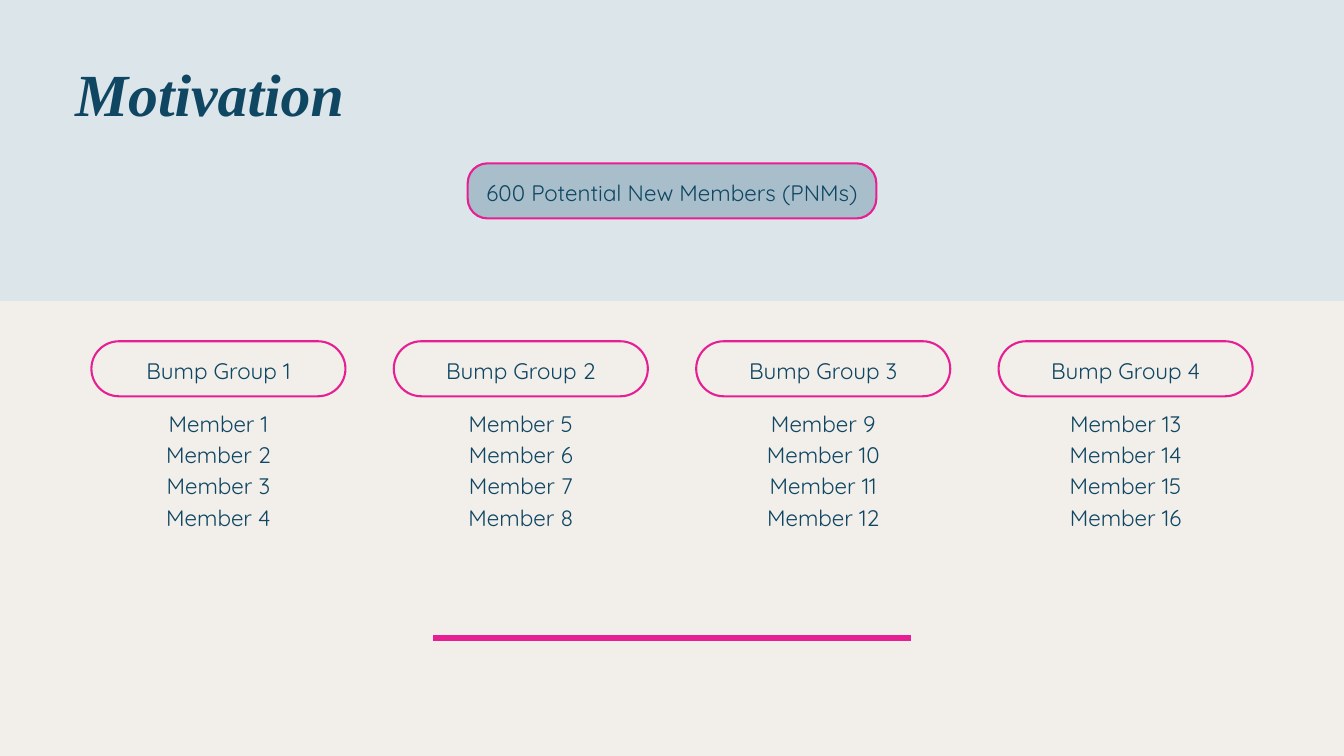
"""Build the Motivation slide: potential new members split into bump groups."""
from pptx import Presentation
from pptx.dml.color import RGBColor
from pptx.enum.shapes import MSO_CONNECTOR, MSO_SHAPE
from pptx.enum.text import MSO_ANCHOR, PP_ALIGN
from pptx.oxml.ns import qn
from pptx.util import Pt

TITLE = "Motivation"
POOL = "600 Potential New Members (PNMs)"
GROUPS = [
    ("Bump Group 1", ["Member 1", "Member 2", "Member 3", "Member 4"]),
    ("Bump Group 2", ["Member 5", "Member 6", "Member 7", "Member 8"]),
    ("Bump Group 3", ["Member 9", "Member 10", "Member 11", "Member 12"]),
    ("Bump Group 4", ["Member 13", "Member 14", "Member 15", "Member 16"]),
]

NAVY = RGBColor(0x0F, 0x46, 0x62)
PINK = RGBColor(0xE6, 0x1F, 0x93)
CREAM = RGBColor(0xF2, 0xEF, 0xEB)
PALE_BLUE = RGBColor(0xDB, 0xE5, 0xEA)
STEEL_BLUE = RGBColor(0xA9, 0xBE, 0xCB)

SLIDE_WIDTH, SLIDE_HEIGHT = 1440, 810
BAND_HEIGHT = 322.5
POOL_WIDTH, POOL_TOP, POOL_RADIUS = 437.8, 175, 21.2
BOX_HEIGHT = 59
GROUP_WIDTH, GROUP_PITCH, GROUP_TOP = 272.2, 324, 365.6
MEMBERS_TOP, MEMBERS_HEIGHT = 434.2, 132
RULE_WIDTH, RULE_TOP = 511.2, 683.4
LABEL_OFFSET = 11.7
CORNER_INSET = 0.29


def write_lines(text_frame, lines, size=24, font_name="Quicksand",
                alignment=PP_ALIGN.CENTER, emphasis=None):
    text_frame.text = "\n".join(lines)
    text_frame.word_wrap = True
    text_frame.vertical_anchor = MSO_ANCHOR.TOP
    text_frame.margin_left = text_frame.margin_right = 0
    text_frame.margin_top = text_frame.margin_bottom = 0
    for paragraph in text_frame.paragraphs:
        paragraph.alignment = alignment
        paragraph.line_spacing = Pt(size * 1.4)
        font = paragraph.runs[0].font
        font.size = Pt(size)
        font.name = font_name
        font.color.rgb = NAVY
        font.bold = font.italic = emphasis


def add_text(slide, left, top, width, height, lines, **style):
    box = slide.shapes.add_textbox(Pt(left), Pt(top), Pt(width), Pt(height))
    write_lines(box.text_frame, lines, **style)


def add_box(slide, left, top, width, radius, fill, label):
    shape = slide.shapes.add_shape(MSO_SHAPE.ROUNDED_RECTANGLE, Pt(left), Pt(top),
                                   Pt(width), Pt(BOX_HEIGHT))
    shape.adjustments[0] = radius / BOX_HEIGHT
    shape.shadow.inherit = False
    shape.fill.solid()
    shape.fill.fore_color.rgb = fill
    shape.line.color.rgb = PINK
    shape.line.width = Pt(2.25)
    write_lines(shape.text_frame, [label])
    shape.text_frame.margin_top = Pt(LABEL_OFFSET - radius * CORNER_INSET)


def add_band(slide):
    band = slide.shapes.add_shape(MSO_SHAPE.RECTANGLE, 0, 0, Pt(SLIDE_WIDTH), Pt(BAND_HEIGHT))
    band.shadow.inherit = False
    band.fill.solid()
    band.fill.fore_color.rgb = PALE_BLUE
    band.line.fill.background()


def add_rule(slide):
    left = (SLIDE_WIDTH - RULE_WIDTH) / 2
    rule = slide.shapes.add_connector(MSO_CONNECTOR.STRAIGHT, Pt(left), Pt(RULE_TOP),
                                      Pt(left + RULE_WIDTH), Pt(RULE_TOP))
    rule.line.color.rgb = PINK
    rule.line.width = Pt(6)
    properties = rule._element.spPr
    properties.append(properties.makeelement(qn("a:effectLst"), {}))


def main():
    presentation = Presentation()
    presentation.slide_width = Pt(SLIDE_WIDTH)
    presentation.slide_height = Pt(SLIDE_HEIGHT)
    slide = presentation.slides.add_slide(presentation.slide_layouts[6])
    slide.background.fill.solid()
    slide.background.fill.fore_color.rgb = CREAM

    add_band(slide)
    add_rule(slide)
    add_text(slide, 80.6, 47.5, 780.5, 85.7, [TITLE], size=64,
             font_name="Times New Roman", alignment=PP_ALIGN.LEFT, emphasis=True)
    add_box(slide, (SLIDE_WIDTH - POOL_WIDTH) / 2, POOL_TOP, POOL_WIDTH,
            POOL_RADIUS, STEEL_BLUE, POOL)

    row_width = GROUP_PITCH * (len(GROUPS) - 1) + GROUP_WIDTH
    first_left = (SLIDE_WIDTH - row_width) / 2
    for index, (name, members) in enumerate(GROUPS):
        left = first_left + index * GROUP_PITCH
        add_box(slide, left, GROUP_TOP, GROUP_WIDTH, BOX_HEIGHT / 2, CREAM, name)
        add_text(slide, left, MEMBERS_TOP, GROUP_WIDTH, MEMBERS_HEIGHT, members)

    presentation.save("out.pptx")


if __name__ == "__main__":
    main()
